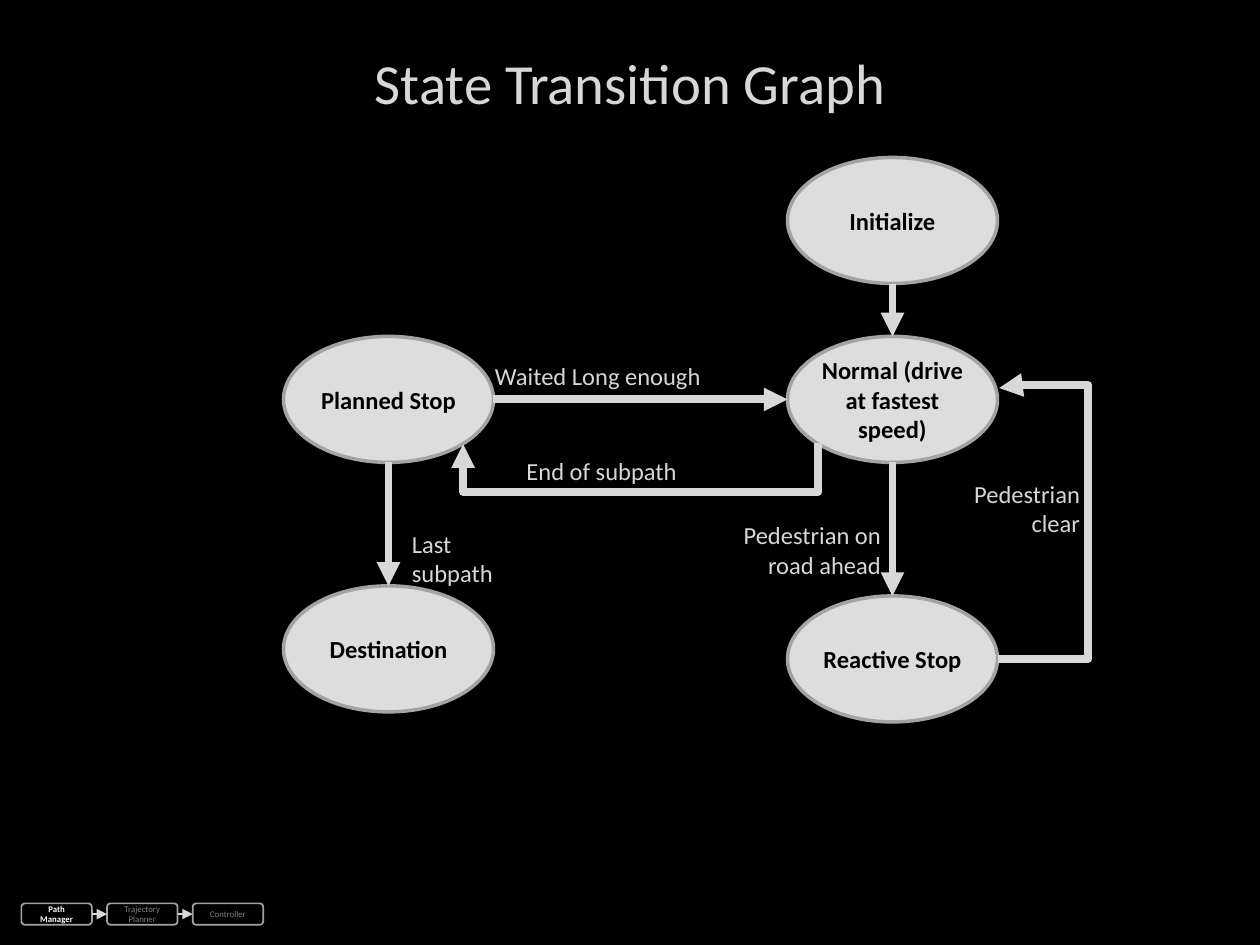
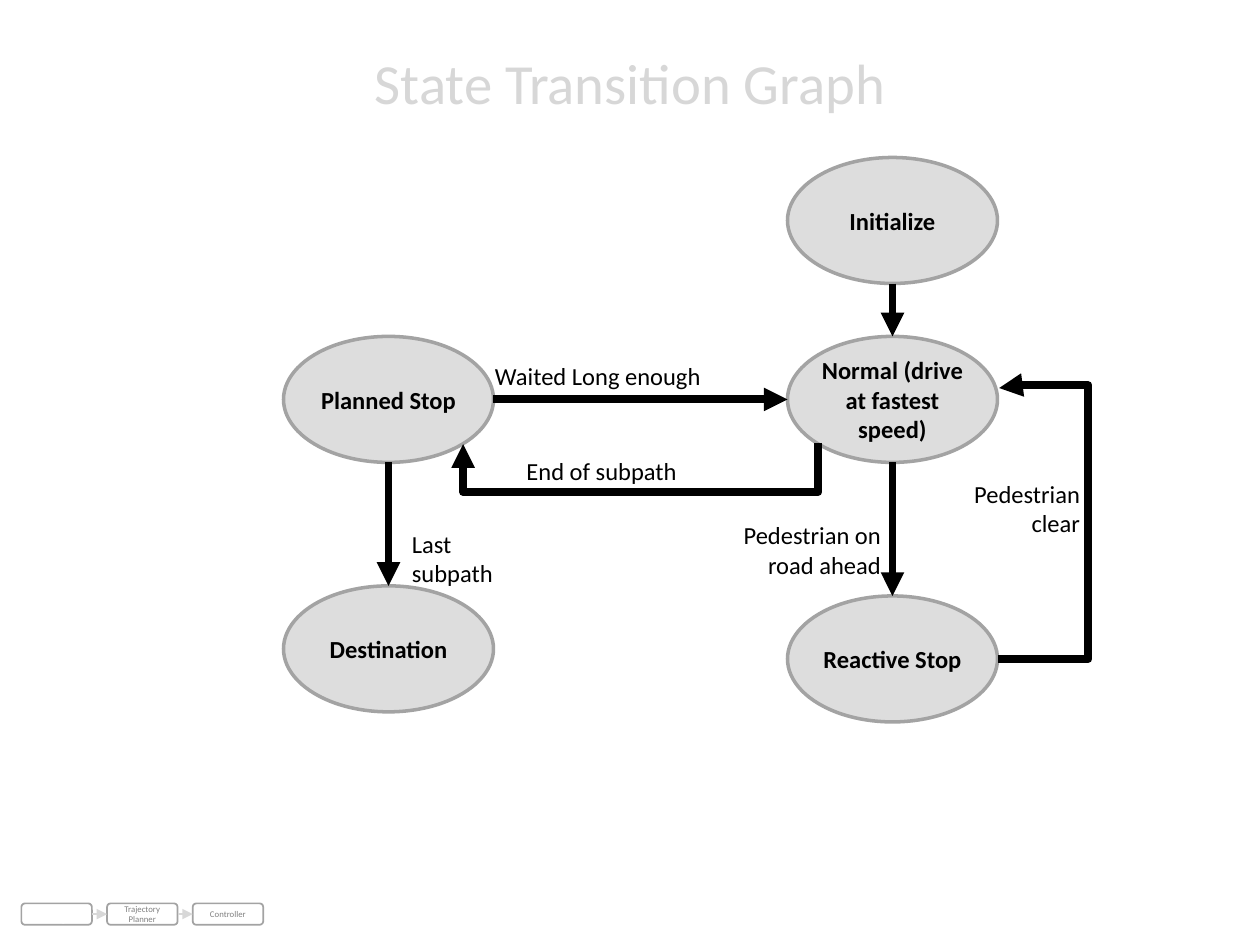
from lxml.etree import SubElement
from pptx import Presentation
from pptx.dml.color import RGBColor
from pptx.enum.shapes import MSO_CONNECTOR as CXN, MSO_SHAPE as SHAPE
from pptx.enum.text import MSO_ANCHOR as ANCHOR, MSO_AUTO_SIZE as AUTO, PP_ALIGN as ALIGN
from pptx.oxml.ns import qn
from pptx.util import Inches, Pt

TITLE, NODE, EDGE, FLOW = "D7D7D7", "DDDDDD", "A3A3A3", "D8D8D8"
LEFT, RIGHT = 2.25, 6.25
NODE_W, NODE_H = 10 / 6, 1
TOP_SIDE, LEFT_SIDE, BOTTOM_SIDE, RIGHT_SIDE = range(4)

NODES = {
    "Normal (drive at fastest speed)": (RIGHT, 2.67),
    "Planned Stop": (LEFT, 2.67),
    "Destination": (LEFT, 4.65),
    "Reactive Stop": (RIGHT, 4.73),
    "Initialize": (RIGHT, 1.25),
}
NORMAL, PLANNED, DESTINATION, REACTIVE, INITIALIZE = NODES
TRANSITIONS = [
    (PLANNED, BOTTOM_SIDE, DESTINATION, TOP_SIDE),
    (NORMAL, BOTTOM_SIDE, REACTIVE, TOP_SIDE),
    (PLANNED, RIGHT_SIDE, NORMAL, LEFT_SIDE),
    (INITIALIZE, BOTTOM_SIDE, NORMAL, TOP_SIDE),
]
# preset, begin x, begin y, end x, end y, rotation in degrees, bends as shares of the box
DETOURS = [
    ("bentConnector3", 5.08, 2.11, 5.09, 4.93, 90, [39.5]),
    ("bentConnector4", 7.92, 5.23, 7.93, 3.08, 0, [73, 1.01]),
]
LABELS = [
    ("Waited Long enough", 3.83, 2.82, 2.25, 0.34, ALIGN.LEFT, True),
    ("Last\nsubpath", 3.17, 4.15, 0.85, 0.57, ALIGN.LEFT, False),
    ("End of subpath", 4.08, 3.57, 2.58, 0.34, ALIGN.LEFT, True),
    ("Pedestrian clear", 7.25, 3.75, 1.42, 0.57, ALIGN.RIGHT, True),
    ("Pedestrian on road ahead", 5.67, 4.08, 1.42, 0.57, ALIGN.RIGHT, True),
]
STAGES = ["Path\nManager", "Trajectory Planner", "Controller"]
STAGE_X, STAGE_Y, STAGE_W, STAGE_H, STAGE_STEP = 0.17, 7.17, 0.56, 0.17, 0.68


def add_text(s, text, x, y, w, h, shape=None, size=14, color="000000", bold=False,
             align=ALIGN.CENTER, anchor=ANCHOR.MIDDLE, wrap=True, inset=None,
             fill=None, line_width=1):
    """Add text in a text box, or in a preset shape with an outline."""
    box = [Inches(v) for v in (x, y, w, h)]
    if shape is None:
        sp = s.shapes.add_textbox(*box)
    else:
        sp = s.shapes.add_shape(shape, *box)
        sp.shadow.inherit = False
        sp.line.color.rgb = RGBColor.from_string(EDGE)
        sp.line.width = Pt(line_width)
        if fill:
            sp.fill.solid()
            sp.fill.fore_color.rgb = RGBColor.from_string(fill)
        else:
            sp.fill.background()
    tf = sp.text_frame
    tf.word_wrap, tf.vertical_anchor = wrap, anchor
    if inset is not None:
        tf.margin_left = tf.margin_right = tf.margin_top = tf.margin_bottom = Inches(inset)
    tf.text = text
    for p in tf.paragraphs:
        p.alignment = align
        for r in p.runs:
            r.font.name, r.font.size, r.font.bold = "Calibri", Pt(size), bold
            r.font.color.rgb = RGBColor.from_string(color)
    return sp


def add_arrow(s, kind, color, width, ends=(0, 0, 0, 0)):
    c = s.shapes.add_connector(kind, *[Inches(v) for v in ends])
    c.line.color.rgb = RGBColor.from_string(color)
    c.line.width = Pt(width)
    SubElement(c.line._get_or_add_ln(), qn("a:tailEnd"), type="triangle")
    SubElement(c._element.spPr, qn("a:effectLst"))
    return c


prs = Presentation()
prs.slide_width, prs.slide_height = Inches(10), Inches(7.5)

for background, arrow_color, label_color in [("000000", FLOW, TITLE),
                                             ("FFFFFF", "000000", "000000")]:
    s = prs.slides.add_slide(prs.slide_layouts[6])
    s.background.fill.solid()
    s.background.fill.fore_color.rgb = RGBColor.from_string(background)
    add_text(s, "State Transition Graph", 0.5, 0.3, 9, 0.7, size=32.4, color=TITLE)

    nodes = {name: add_text(s, name, x, y, NODE_W, NODE_H, SHAPE.OVAL, bold=True,
                            inset=0, fill=NODE, line_width=2)
             for name, (x, y) in NODES.items()}

    for source, source_side, target, target_side in TRANSITIONS:
        c = add_arrow(s, CXN.STRAIGHT, arrow_color, 4.5)
        c.begin_connect(nodes[source], source_side)
        c.end_connect(nodes[target], target_side)
        # an ellipse has eight connection sites, so each side is every second one
        for tag, side in (("a:stCxn", source_side), ("a:endCxn", target_side)):
            next(c._element.iter(qn(tag))).set("idx", str(2 * side))

    for preset, x1, y1, x2, y2, degrees, bends in DETOURS:
        c = add_arrow(s, CXN.ELBOW, arrow_color, 4.5, (x1, y1, x2, y2))
        c._element.spPr.find(qn("a:xfrm")).set("rot", str(degrees * 60000))
        geom = c._element.spPr.find(qn("a:prstGeom"))
        geom.set("prst", preset)
        guides = geom.find(qn("a:avLst"))
        for i, bend in enumerate(bends, 1):
            SubElement(guides, qn("a:gd"), name=f"adj{i}", fmla=f"val {round(bend * 100000)}")

    for text, x, y, w, h, align, wrap in LABELS:
        sp = add_text(s, text, x, y, w, h, color=label_color, align=align,
                      anchor=ANCHOR.TOP, wrap=wrap)
        sp.text_frame.auto_size = AUTO.SHAPE_TO_FIT_TEXT

    stages = []
    for i, stage in enumerate(STAGES):
        current = i == 0
        stages.append(add_text(s, stage, STAGE_X + i * STAGE_STEP, STAGE_Y, STAGE_W, STAGE_H,
                               SHAPE.ROUNDED_RECTANGLE, size=5, bold=current,
                               color="FFFFFF" if current else "808080"))
    for before, after in zip(stages, stages[1:]):
        c = add_arrow(s, CXN.STRAIGHT, FLOW, 0.75)
        c.begin_connect(before, RIGHT_SIDE)
        c.end_connect(after, LEFT_SIDE)

prs.save("out.pptx")
